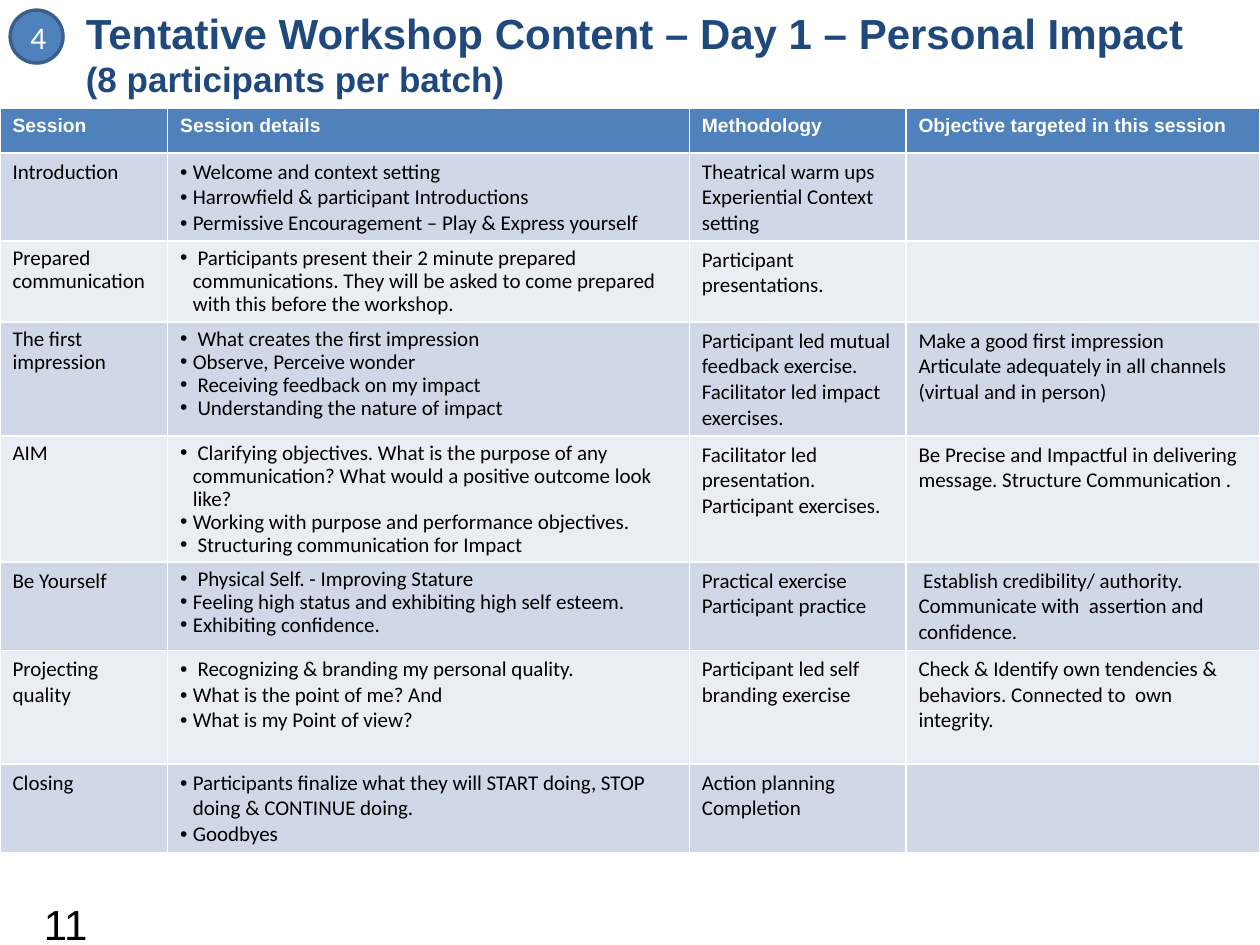
from lxml.etree import SubElement
from pptx import Presentation
from pptx.dml.color import RGBColor
from pptx.enum.shapes import MSO_SHAPE as Shape
from pptx.enum.text import MSO_ANCHOR as Anchor, MSO_AUTO_SIZE as AutoSize, PP_ALIGN as Align
from pptx.oxml.ns import qn
from pptx.util import Pt

BLUE, NAVY, OUTLINE = "4F81BD", "1F497D", "3A5F8C"
WHITE, BLACK = "FFFFFF", "000000"
BANDS = ("D0D8E8", "E9EDF4")
DETAILS = 1  # the bulleted column

COLUMN_WIDTHS = (95.8, 298.1, 123.8, 202.3)
HEADER_HEIGHT = 25.4
HEADINGS = ("Session", "Session details", "Methodology", "Objective targeted in this session")

# Row height, columns with tight line spacing, then the paragraphs of each cell
SESSIONS = [
    (50.3, (), (
        ["Introduction"],
        ["Welcome and context setting",
         "Harrowfield & participant Introductions",
         "Permissive Encouragement – Play & Express yourself"],
        ["Theatrical warm ups", "Experiential Context setting"],
        [])),
    (46.3, (0, 1), (
        ["Prepared communication"],
        [" Participants present their 2 minute prepared communications. "
         "They will be asked to come prepared with this before the workshop."],
        ["Participant presentations."],
        [])),
    (65, (0, 1), (
        ["The first impression"],
        [" What creates the first impression",
         "Observe, Perceive wonder",
         " Receiving feedback on my impact",
         " Understanding the nature of impact"],
        ["Participant led mutual feedback exercise. Facilitator led impact exercises."],
        ["Make a good first impression",
         "Articulate adequately in all channels (virtual and in person)"])),
    (72, (0, 1), (
        ["AIM"],
        [" Clarifying objectives. What is the purpose of any communication? "
         "What would a positive outcome look like?",
         "Working with purpose and performance objectives.",
         " Structuring communication for Impact"],
        ["Facilitator led presentation.", "Participant exercises."],
        ["Be Precise and Impactful in delivering message. Structure Communication ."])),
    (50.6, (1,), (
        ["Be Yourself"],
        [" Physical Self. - Improving Stature",
         "Feeling high status and exhibiting high self esteem.",
         "Exhibiting confidence."],
        ["Practical exercise", "Participant practice"],
        [" Establish credibility/ authority. Communicate with  assertion and confidence."])),
    (65, (), (
        ["Projecting quality"],
        [" Recognizing & branding my personal quality.",
         "What is the point of me? And",
         "What is my Point of view?"],
        ["Participant led self branding exercise"],
        ["Check & Identify own tendencies & behaviors. Connected to  own integrity."])),
    (50.3, (), (
        ["Closing"],
        ["Participants finalize what they will START doing, STOP doing & CONTINUE doing.",
         "Goodbyes"],
        ["Action planning", "Completion"],
        [])),
]


def color(hex_value):
    return RGBColor.from_string(hex_value)


def fill(target, hex_value):
    target.fill.solid()
    target.fill.fore_color.rgb = color(hex_value)


def add_run(paragraph, text, size, font, hex_value, bold=False):
    run = paragraph.add_run()
    run.text = text
    run.font.size, run.font.name, run.font.bold = Pt(size), font, bold
    run.font.color.rgb = color(hex_value)


def next_paragraph(frame, index):
    return frame.add_paragraph() if index else frame.paragraphs[0]


def add_bullet(paragraph):
    properties = paragraph._p.get_or_add_pPr()
    properties.set("marL", str(Pt(7.2)))
    properties.set("indent", str(-Pt(7.2)))
    SubElement(properties, qn("a:buFont")).set("typeface", "Arial")
    SubElement(properties, qn("a:buChar")).set("char", "•")


def add_title(slide):
    title = slide.shapes.title
    title.left, title.top, title.width, title.height = Pt(41.8), Pt(0.7), Pt(684), Pt(60.5)
    frame = title.text_frame
    frame.auto_size, frame.vertical_anchor = AutoSize.NONE, Anchor.TOP
    lines = (("Tentative Workshop Content – Day 1 – Personal Impact", 24),
             ("(8 participants per batch)", 20))
    for index, (text, size) in enumerate(lines):
        paragraph = next_paragraph(frame, index)
        paragraph.alignment = Align.LEFT
        add_run(paragraph, text, size, "Arial", NAVY, bold=True)


def fill_session_cell(cell, texts, bulleted, tight):
    for index, text in enumerate(texts):
        paragraph = next_paragraph(cell.text_frame, index)
        if tight:
            paragraph.line_spacing = 0.9
        if bulleted:
            add_bullet(paragraph)
        add_run(paragraph, text, 12, "Calibri", BLACK)


def add_agenda(slide):
    heights = [HEADER_HEIGHT] + [session[0] for session in SESSIONS]
    agenda = slide.shapes.add_table(
        len(heights), len(COLUMN_WIDTHS), Pt(0), Pt(61.9),
        Pt(sum(COLUMN_WIDTHS)), Pt(sum(heights))).table
    for column, width in zip(agenda.columns, COLUMN_WIDTHS):
        column.width = Pt(width)
    for row, height in zip(agenda.rows, heights):
        row.height = Pt(height)
    for cell, heading in zip(agenda.rows[0].cells, HEADINGS):
        fill(cell, BLUE)
        add_run(cell.text_frame.paragraphs[0], heading, 11, "Arial", WHITE, bold=True)
    for number, (_, tight_columns, contents) in enumerate(SESSIONS):
        for column, texts in enumerate(contents):
            cell = agenda.cell(number + 1, column)
            fill(cell, BANDS[number % 2])
            fill_session_cell(cell, texts, column == DETAILS, column in tight_columns)


def add_step_badge(slide, step):
    badge = slide.shapes.add_shape(Shape.OVAL, Pt(5.8), Pt(5.8), Pt(30.2), Pt(30.2))
    badge.shadow.inherit = False
    fill(badge, BLUE)
    badge.line.color.rgb, badge.line.width = color(OUTLINE), Pt(2)
    badge.text_frame.vertical_anchor = Anchor.MIDDLE
    paragraph = badge.text_frame.paragraphs[0]
    paragraph.alignment = Align.CENTER
    add_run(paragraph, step, 18, "Calibri", WHITE)


def add_page_number(slide, number):
    frame = slide.shapes.add_textbox(Pt(18), Pt(509.8), Pt(167.8), Pt(28.8)).text_frame
    frame.word_wrap = True
    add_run(frame.paragraphs[0], number, 24, "Arial", BLACK)


def main():
    deck = Presentation()
    deck.slide_width, deck.slide_height = Pt(720), Pt(540)
    slide = deck.slides.add_slide(deck.slide_layouts[5])
    add_page_number(slide, "11")
    add_agenda(slide)
    add_title(slide)
    add_step_badge(slide, "4")
    deck.save("out.pptx")


if __name__ == "__main__":
    main()
